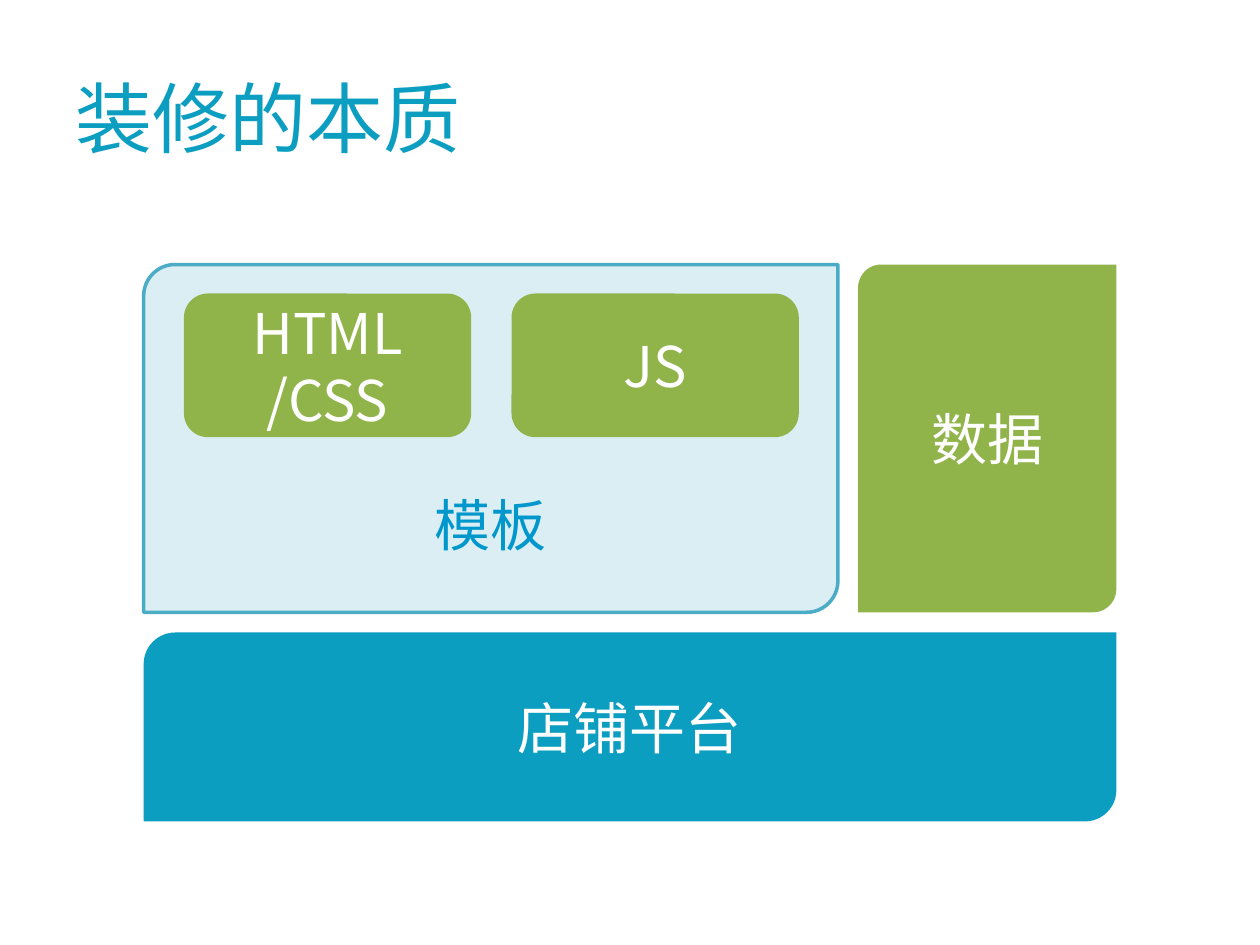
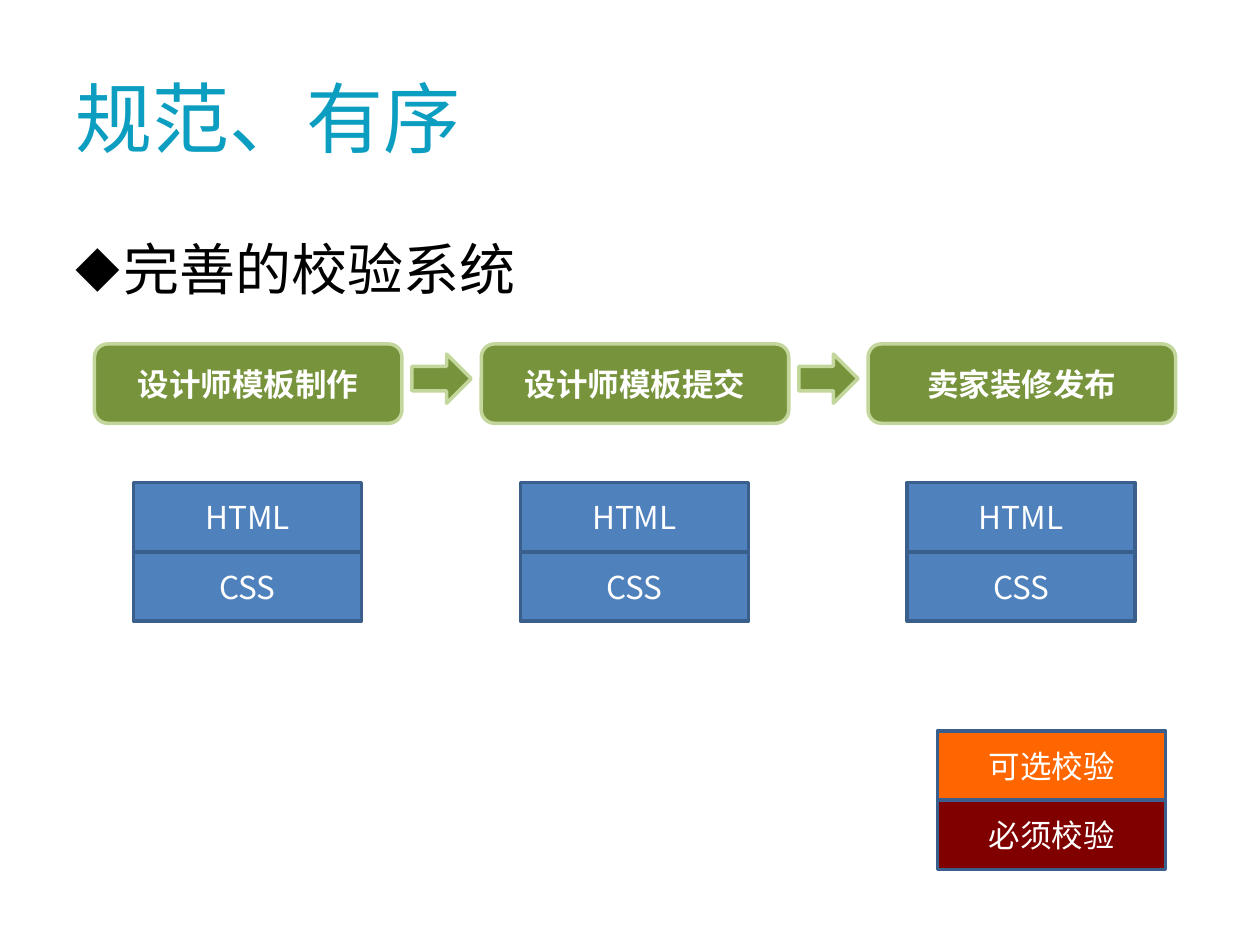
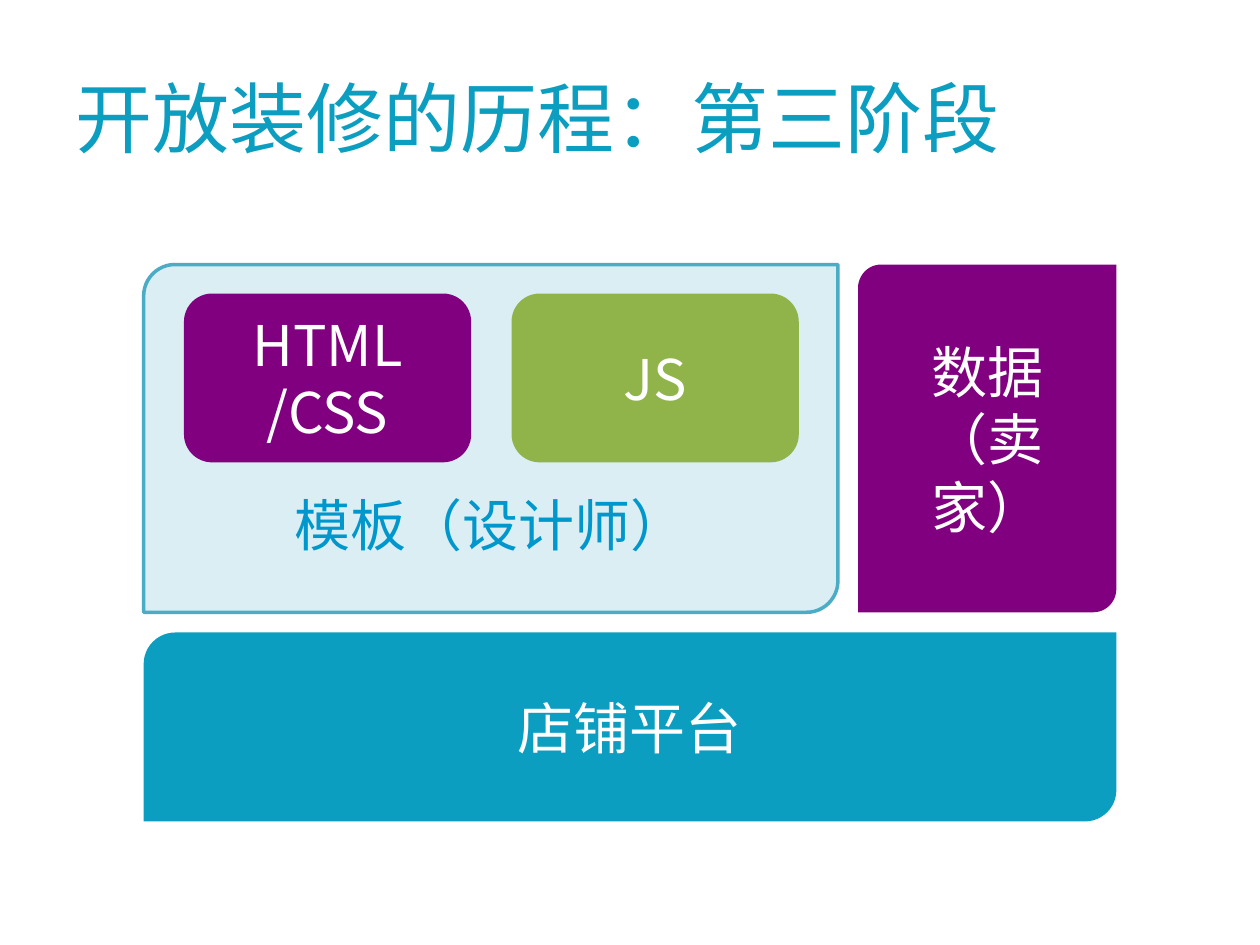
"""Build three slides on shop decoration templates and their validation."""
from dataclasses import dataclass

from lxml import etree
from pptx import Presentation
from pptx import util as u
from pptx.dml.color import RGBColor
from pptx.enum import shapes, text
from pptx.oxml.ns import qn

FONT = "Noto Sans CJK SC"
TEAL, GREEN, PURPLE, WHITE = "0C9EC0", "91B44A", "800080", "FFFFFF"
PALE, PALE_EDGE, SKY = "DBEEF4", "4BACC6", "0097CC"
OLIVE, OLIVE_EDGE = "77933C", "C3D69B"
BLUE, NAVY, ORANGE, MAROON = "4F81BD", "3A5F8C", "FF6600", "800000"
MSO = shapes.MSO_SHAPE
DIAGONAL, ROUNDED = MSO.ROUND_2_DIAG_RECTANGLE, MSO.ROUNDED_RECTANGLE


@dataclass
class Block:
    """A filled shape with a centred label."""
    kind: int
    left: float
    top: float
    width: float
    height: float
    fill: str
    label: str = ""
    size: int = 32
    color: str = WHITE
    line: str | None = None
    bold: bool = False
    corner: float | None = None
    bottom_inset: float | None = None


def rgb(value: str) -> RGBColor:
    """Turn a hex string into a colour."""
    return RGBColor.from_string(value)


def style_text(tf, size: int, color: str, bold: bool = False) -> None:
    """Format every run of a text frame."""
    for p in tf.paragraphs:
        for r in p.runs:
            r.font.name, r.font.size, r.font.bold = FONT, u.Pt(size), bold
            r.font.color.rgb = rgb(color)
            etree.SubElement(r.font._element, qn("a:ea"), typeface=FONT)


def add_text(slide, content: str, top: float, height: float, size: int, color: str):
    """Add a full-width text box and return its frame."""
    sp = slide.shapes.add_textbox(u.Inches(0.5), u.Inches(top), u.Inches(9), u.Inches(height))
    tf = sp.text_frame
    tf.word_wrap = True
    tf.text = content
    style_text(tf, size, color)
    return tf


def add_block(slide, block: Block) -> None:
    """Draw one block."""
    box = (u.Inches(v) for v in (block.left, block.top, block.width, block.height))
    sp = slide.shapes.add_shape(block.kind, *box)
    sp.shadow.inherit = False
    sp.fill.solid()
    sp.fill.fore_color.rgb = rgb(block.fill)
    if block.line:
        sp.line.color.rgb = rgb(block.line)
        sp.line.width = u.Pt(2)
    else:
        sp.line.fill.background()
    if block.corner is not None:
        sp.adjustments[0] = block.corner
    if not block.label:
        return
    tf = sp.text_frame
    tf.word_wrap = True
    tf.text = block.label
    tf.vertical_anchor = text.MSO_ANCHOR.MIDDLE
    if block.bottom_inset is not None:
        tf.vertical_anchor = text.MSO_ANCHOR.BOTTOM
        tf.margin_bottom = u.Inches(block.bottom_inset)
    for p in tf.paragraphs:
        p.alignment = text.PP_ALIGN.CENTER
        if "\n" in block.label:
            p.line_spacing = u.Pt(block.size * 1.2)
    style_text(tf, block.size, block.color, block.bold)


def add_slide(prs, title: str):
    """Add a blank slide with its title."""
    slide = prs.slides.add_slide(prs.slide_layouts[6])
    tf = add_text(slide, title, 0.3, 1.25, 44, TEAL)
    tf.vertical_anchor = text.MSO_ANCHOR.MIDDLE
    return slide


def add_architecture(prs, title: str, template: str, data: str, opened: str,
                     part_height: float) -> None:
    """Add a slide showing template and data on top of the shop platform."""
    slide = add_slide(prs, title)
    blocks = [
        Block(DIAGONAL, 1.14, 5.02, 7.72, 1.5, TEAL, "店铺平台"),
        Block(DIAGONAL, 1.14, 2.1, 5.51, 2.76, PALE, template, color=SKY,
              line=PALE_EDGE, corner=0.09, bottom_inset=0.36),
        Block(DIAGONAL, 6.81, 2.1, 2.05, 2.76, opened, data, corner=0.09),
        Block(ROUNDED, 1.46, 2.33, 2.28, part_height, opened, "HTML\n/CSS"),
        Block(ROUNDED, 4.06, 2.33, 2.28, part_height, GREEN, "JS"),
    ]
    for block in blocks:
        add_block(slide, block)


def add_stack(slide, left: float, top: float, cells: list[tuple[str, str]]) -> None:
    """Draw labelled cells on top of each other."""
    height = 0.55
    for i, (label, fill) in enumerate(cells):
        add_block(slide, Block(MSO.RECTANGLE, left, top + i * height, 1.81, height,
                               fill, label, size=18, line=NAVY))


def add_bullet(tf) -> None:
    """Give the first paragraph a diamond bullet with a hanging indent."""
    pPr = tf.paragraphs[0]._p.get_or_add_pPr()
    indent = u.Inches(0.38)
    pPr.set("marL", str(indent))
    pPr.set("indent", str(-indent))
    etree.SubElement(pPr, qn("a:buSzPct"), val="80000")
    etree.SubElement(pPr, qn("a:buFont"), typeface=FONT)
    etree.SubElement(pPr, qn("a:buChar"), char="◆")


def add_validation(prs) -> None:
    """Add the slide showing the validation flow."""
    slide = add_slide(prs, "规范、有序")
    tf = add_text(slide, "完善的校验系统", 1.55, 0.94, 32, "000000")
    tf.margin_top = u.Inches(0.31)
    add_bullet(tf)
    steps = ["设计师模板制作", "设计师模板提交", "卖家装修发布"]
    for i, step in enumerate(steps):
        left = 0.75 + i * 3.07
        add_block(slide, Block(ROUNDED, left, 2.73, 2.44, 0.63, OLIVE, step,
                               size=18, line=OLIVE_EDGE, bold=True))
        add_stack(slide, left + 0.31, 3.83, [("HTML", BLUE), ("CSS", BLUE)])
        if i < len(steps) - 1:
            add_block(slide, Block(MSO.RIGHT_ARROW, left + 2.52, 2.81, 0.47, 0.39,
                                   OLIVE, line=OLIVE_EDGE))
    add_stack(slide, 7.44, 5.8, [("可选校验", ORANGE), ("必须校验", MAROON)])


def main() -> None:
    """Build and save the presentation."""
    prs = Presentation()
    prs.slide_width, prs.slide_height = u.Inches(10), u.Inches(7.5)
    add_architecture(prs, "装修的本质", "模板", "数据", GREEN, 1.14)
    add_validation(prs)
    add_architecture(prs, "开放装修的历程：第三阶段", "模板（设计师）",
                     "数据\n（卖家）", PURPLE, 1.34)
    prs.save("out.pptx")


if __name__ == "__main__":
    main()
